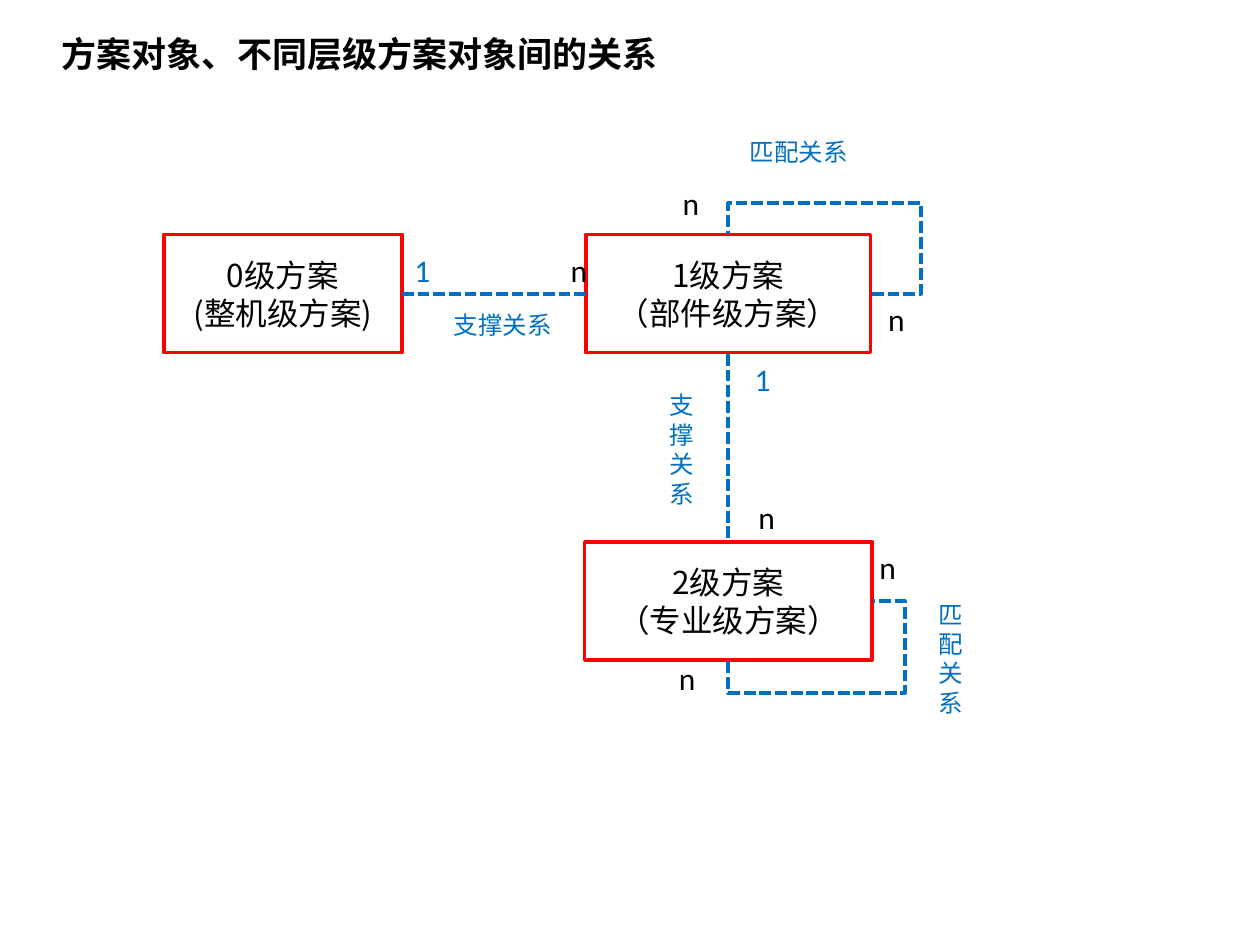
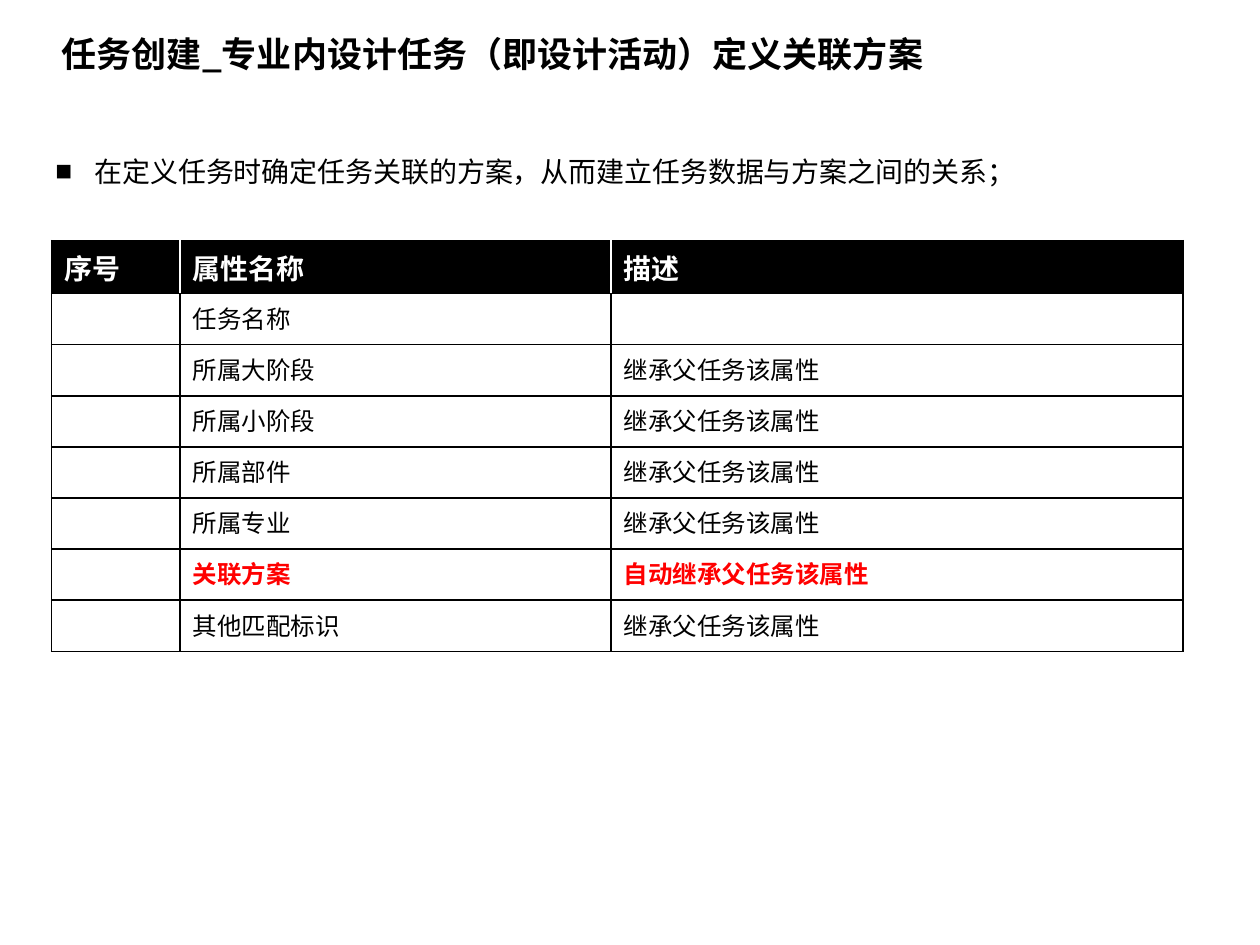
"""Build two slides on design schemes, their links and task attributes."""
from typing import NamedTuple

import lxml.etree
import pptx
import pptx.dml.color
import pptx.enum.dml
import pptx.enum.shapes
import pptx.enum.text
import pptx.oxml.ns
import pptx.util

Inches = pptx.util.Inches
Pt = pptx.util.Pt
Color = pptx.dml.color.RGBColor
Align = pptx.enum.text.PP_ALIGN
Anchor = pptx.enum.text.MSO_ANCHOR
qn = pptx.oxml.ns.qn

BLACK = Color(0x00, 0x00, 0x00)
WHITE = Color(0xFF, 0xFF, 0xFF)
RED = Color(0xFF, 0x00, 0x00)
BLUE = Color(0x00, 0x70, 0xC0)
HAN = "Noto Sans CJK SC"
LATIN = "Calibri"


class Box(NamedTuple):
    """A scheme box with its lines of text."""

    left: float
    top: float
    width: float
    lines: tuple[str, ...]


class Label(NamedTuple):
    """A caption for a link between schemes."""

    text: str
    left: float
    top: float
    width: float
    height: float


class Count(NamedTuple):
    """A mark for one end of a link."""

    text: str
    left: float
    top: float


BOX_HEIGHT = 0.94
BOXES = [
    Box(1.3, 1.86, 1.89, ("0级方案", "(整机级方案)")),
    Box(4.65, 1.86, 2.26, ("1级方案", "（部件级方案）")),
    Box(4.64, 4.3, 2.28, ("2级方案", "（专业级方案）")),
]
LINKS = [((3.19, 2.33), (4.65, 2.33)), ((5.78, 2.81), (5.78, 4.3))]
LOOPS = [
    [(6.92, 2.33), (7.31, 2.33), (7.31, 1.61), (5.78, 1.61), (5.78, 1.86)],
    [(5.78, 5.25), (5.78, 5.5), (7.18, 5.5), (7.18, 4.77), (6.93, 4.77)],
]
LABELS = [
    Label("支撑关系", 3.29, 2.41, 1.4, 0.34),
    Label("支撑关系", 5.18, 3.05, 0.46, 1.04),
    Label("匹配关系", 5.64, 1.04, 1.4, 0.34),
    Label("匹配关系", 7.27, 4.71, 0.56, 1.04),
]
COUNTS = [
    Count("1", 3.19, 1.94),
    Count("n", 4.43, 1.94),
    Count("1", 5.89, 2.81),
    Count("n", 5.92, 3.9),
    Count("n", 5.32, 1.41),
    Count("n", 6.95, 2.33),
    Count("n", 6.88, 4.3),
    Count("n", 5.29, 5.18),
]

PARENT = "继承父任务该属性"
KEY = "关联方案"
HEADS = ("序号", "属性名称", "描述")
TASKS = [
    ("任务名称", ""),
    ("所属大阶段", PARENT),
    ("所属小阶段", PARENT),
    ("所属部件", PARENT),
    ("所属专业", PARENT),
    (KEY, "自动" + PARENT),
    ("其他匹配标识", PARENT),
]
COLS = (1.02, 3.42, 4.54)
ROW = 0.405


def write(para, text: str, size: float, color: Color = BLACK,
          bold: bool = False, font: str = HAN) -> None:
    """Add one styled run to a paragraph."""
    run = para.add_run()
    run.text = text
    run.font.size = Pt(size)
    run.font.bold = bold
    run.font.name = font
    run.font.color.rgb = color
    east = lxml.etree.SubElement(run.font._element, qn("a:ea"))
    east.set("typeface", font)


def place(shape, left: float, top: float, width: float, height: float) -> None:
    """Move and size a placeholder."""
    shape.left, shape.top = Inches(left), Inches(top)
    shape.width, shape.height = Inches(width), Inches(height)


def set_frame(frame, anchor: Anchor) -> None:
    """Give a text frame wrapping, a fixed size and an anchor."""
    frame.word_wrap = True
    frame.auto_size = pptx.enum.text.MSO_AUTO_SIZE.NONE
    frame.vertical_anchor = anchor


def add_slide(deck, layout: int, text: str):
    """Add a slide with the shared title style."""
    slide = deck.slides.add_slide(deck.slide_layouts[layout])
    title = slide.shapes.title
    place(title, 0.39, 0.21, 8.63, 0.44)
    set_frame(title.text_frame, Anchor.TOP)
    para = title.text_frame.paragraphs[0]
    para.alignment = Align.LEFT
    write(para, text, 20, bold=True)
    return slide


def add_box(slide, box: Box) -> None:
    """Draw a scheme box."""
    shape = slide.shapes.add_shape(
        pptx.enum.shapes.MSO_SHAPE.RECTANGLE, Inches(box.left),
        Inches(box.top), Inches(box.width), Inches(BOX_HEIGHT))
    shape.shadow.inherit = False
    shape.fill.solid()
    shape.fill.fore_color.rgb = WHITE
    shape.line.color.rgb = RED
    shape.line.width = Pt(2)
    frame = shape.text_frame
    set_frame(frame, Anchor.MIDDLE)
    for i, line in enumerate(box.lines):
        para = frame.add_paragraph() if i else frame.paragraphs[0]
        para.alignment = Align.CENTER
        write(para, line, 18)


def add_text(slide, left: float, top: float, width: float, height: float):
    """Add a text box and return its first paragraph."""
    shape = slide.shapes.add_textbox(
        Inches(left), Inches(top), Inches(width), Inches(height))
    set_frame(shape.text_frame, Anchor.TOP)
    return shape.text_frame.paragraphs[0]


def dash(line) -> None:
    """Style a link line."""
    line.color.rgb = BLUE
    line.width = Pt(2.25)
    line.dash_style = pptx.enum.dml.MSO_LINE.SQUARE_DOT


def add_link(slide, start: tuple[float, float], end: tuple[float, float]) -> None:
    """Draw a straight link."""
    link = slide.shapes.add_connector(
        pptx.enum.shapes.MSO_CONNECTOR.STRAIGHT,
        *(Inches(n) for n in start + end))
    dash(link.line)
    lxml.etree.SubElement(link._element.spPr, qn("a:effectLst"))


def add_loop(slide, points: list[tuple[float, float]]) -> None:
    """Draw a link from a scheme back to itself."""
    spots = [(Inches(x), Inches(y)) for x, y in points]
    pen = slide.shapes.build_freeform(*spots[0])
    pen.add_line_segments(spots[1:], close=False)
    loop = pen.convert_to_shape()
    loop.shadow.inherit = False
    loop.fill.background()
    dash(loop.line)


def edge(cell, side: str, color: Color) -> None:
    """Draw one border of a cell."""
    line = lxml.etree.Element(qn(f"a:ln{side}"), w=str(Pt(1)))
    fill = lxml.etree.SubElement(line, qn("a:solidFill"))
    lxml.etree.SubElement(fill, qn("a:srgbClr"), val=str(color))
    cell._tc.get_or_add_tcPr().append(line)


def add_cell(cell, text: str, row: int, col: int) -> None:
    """Fill and frame one table cell."""
    head = row == 0
    for side in "LRTB":
        inner = (side == "L" and col > 0) or (side == "R" and col < len(COLS) - 1)
        edge(cell, side, WHITE if head and inner else BLACK)
    cell.fill.solid()
    cell.fill.fore_color.rgb = BLACK if head else WHITE
    key = not head and TASKS[row - 1][0] == KEY
    color = WHITE if head else RED if key else BLACK
    if text:
        write(cell.text_frame.paragraphs[0], text, 16 if head else 14,
              color, head or key)


def add_grid(slide) -> None:
    """Draw the table of task attributes."""
    rows = [HEADS] + [("",) + task for task in TASKS]
    table = slide.shapes.add_table(
        len(rows), len(COLS), Inches(0.41), Inches(1.91),
        Inches(sum(COLS)), Inches(ROW * len(rows))).table
    for col, width in zip(table.columns, COLS):
        col.width = Inches(width)
    for r, row in enumerate(rows):
        table.rows[r].height = Inches(ROW)
        for c, text in enumerate(row):
            add_cell(table.cell(r, c), text, r, c)


def add_point(body, text: str) -> None:
    """Write the bullet point in the body placeholder."""
    place(body, 0.34, 1.04, 9.13, 0.5)
    set_frame(body.text_frame, Anchor.TOP)
    para = body.text_frame.paragraphs[0]
    props = para._p.get_or_add_pPr()
    props.set("marL", str(Inches(0.31)))
    props.set("indent", str(Inches(-0.31)))
    lxml.etree.SubElement(props, qn("a:buFont"), typeface="Arial")
    lxml.etree.SubElement(props, qn("a:buChar"), char="■")
    para.line_spacing = 1.5
    para.space_before = Pt(0)
    write(para, text, 16)


def draw_links(deck) -> None:
    """Build the slide of scheme links."""
    slide = add_slide(deck, 5, "方案对象、不同层级方案对象间的关系")
    for box in BOXES:
        add_box(slide, box)
    for start, end in LINKS:
        add_link(slide, start, end)
    for loop in LOOPS:
        add_loop(slide, loop)
    for text, *area in LABELS:
        para = add_text(slide, *area)
        para.alignment = Align.CENTER
        write(para, text, 14, BLUE)
    for text, left, top in COUNTS:
        para = add_text(slide, left, top, 0.31, 0.4)
        write(para, text, 18, BLUE if text == "1" else BLACK, font=LATIN)


def draw_tasks(deck) -> None:
    """Build the slide of task attributes."""
    slide = add_slide(deck, 1, "任务创建_专业内设计任务（即设计活动）定义关联方案")
    add_grid(slide)
    add_point(slide.placeholders[1],
              "在定义任务时确定任务关联的方案，从而建立任务数据与方案之间的关系；")


def main() -> None:
    """Build and save the deck."""
    deck = pptx.Presentation()
    deck.slide_width, deck.slide_height = Inches(10), Inches(7.5)
    draw_links(deck)
    draw_tasks(deck)
    deck.save("out.pptx")


if __name__ == "__main__":
    main()
